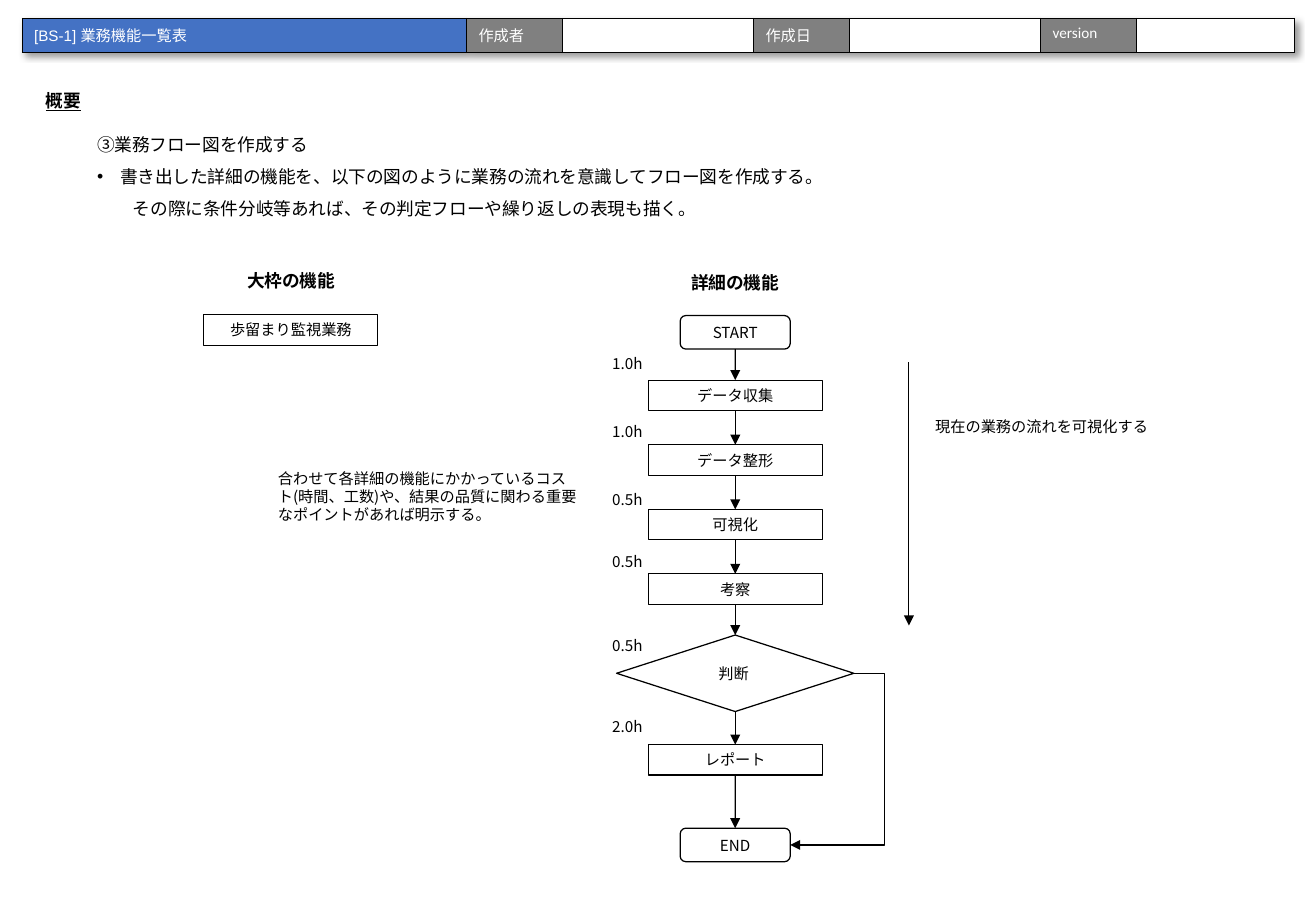
from dataclasses import dataclass
from itertools import pairwise
from typing import NamedTuple

from lxml.etree import SubElement
from pptx import Presentation
from pptx.dml.color import RGBColor
from pptx.enum.shapes import MSO_CONNECTOR, MSO_SHAPE
from pptx.enum.text import MSO_ANCHOR, MSO_AUTO_SIZE, PP_ALIGN
from pptx.oxml import parse_xml
from pptx.oxml.ns import nsdecls, qn
from pptx.shapes.autoshape import Shape
from pptx.shapes.connector import Connector
from pptx.slide import Slide
from pptx.text.text import TextFrame
from pptx.util import Cm, Pt


@dataclass(frozen=True)
class Theme:
    ink: str = "000000"
    paper: str = "FFFFFF"
    blue: str = "4472C4"
    gray: str = "808080"
    face: str = "Noto Sans CJK JP"
    small: float = 9
    large: float = 10.5
    thick: float = 0.75
    thin: float = 0.5


class Head(NamedTuple):
    text: str
    width: float
    fill: str
    face: str = "Calibri"


class Label(NamedTuple):
    text: str
    left: float
    top: float
    width: float
    height: float = 0.64
    size: float = 9
    bold: bool = False
    center: bool = False
    under: bool = False
    wrap: bool = True


class Node(NamedTuple):
    text: str
    left: float
    top: float
    width: float
    height: float
    form: MSO_SHAPE


class Point(NamedTuple):
    text: str
    margin: float = 0
    indent: float = 0
    bullet: str = ""


THEME = Theme()
MID = 15.37
STEP = 1.35
FIRST = 7.95

HEADS = [
    Head("[BS-1] 業務機能一覧表", 9.29, THEME.blue, "Arial"),
    Head("作成者", 2, THEME.gray),
    Head("", 4, THEME.paper),
    Head("作成日", 2, THEME.gray),
    Head("", 4, THEME.paper),
    Head("version", 2, THEME.gray),
    Head("", 3.3, THEME.paper),
]
POINTS = [
    Point("③業務フロー図を作成する"),
    Point("書き出した詳細の機能を、以下の図のように業務の流れを意識してフロー図を作成する。", 0.48, -0.48, "•"),
    Point("その際に条件分岐等あれば、その判定フローや繰り返しの表現も描く。", 0.75),
]
LABELS = [
    Label("概要", 0.71, 1.75, 1.27, 0.71, THEME.large, bold=True, under=True, wrap=False),
    Label("大枠の機能", 4.67, 5.51, 2.84, 0.71, THEME.large, bold=True, center=True),
    Label("詳細の機能", 13.95, 5.56, 2.84, 0.71, THEME.large, bold=True, center=True),
    Label("現在の業務の流れを可視化する", 19.3, 8.61, 6.76),
    Label("合わせて各詳細の機能にかかっているコスト(時間、工数)や、結果の品質に関わる重要なポイントがあれば明示する。", 5.56, 9.68, 6.78, 1.42),
]
HOURS = [("1.0h", 7.29), ("1.0h", 8.71), ("0.5h", 10.13),
         ("0.5h", 11.43), ("0.5h", 13.18), ("2.0h", 14.88)]


def task(text: str, top: float, mid: float = MID) -> Node:
    return Node(text, mid - 1.82, top, 3.64, 0.64, MSO_SHAPE.RECTANGLE)


def stop(text: str, top: float) -> Node:
    return Node(text, MID - 1.15, top, 2.3, 0.7, MSO_SHAPE.ROUNDED_RECTANGLE)


FLOW = [
    stop("START", 6.6),
    *(task(text, FIRST + STEP * i)
      for i, text in enumerate(["データ収集", "データ整形", "可視化", "考察"])),
    Node("判断 ", MID - 2.48, 13.28, 4.96, 1.6, MSO_SHAPE.FLOWCHART_DECISION),
    task("レポート", 15.57),
    stop("END", 17.32),
]


def write(frame: TextFrame, points: list[Point], size: float, color: str = THEME.ink,
          face: str = THEME.face, bold: bool = False, under: bool = False,
          center: bool = False, space: float | None = None) -> None:
    for i, point in enumerate(points):
        para = frame.add_paragraph() if i else frame.paragraphs[0]
        if point.text:
            para.add_run().text = point.text
        else:
            SubElement(para._p, qn("a:endParaRPr"), sz=str(int(size * 100)))
        props = para._p.get_or_add_pPr()
        if point.margin:
            props.set("marL", str(int(Cm(point.margin))))
            props.set("indent", str(int(Cm(point.indent))))
        if point.bullet:
            SubElement(props, qn("a:buFont"), typeface="Arial")
            SubElement(props, qn("a:buChar"), char=point.bullet)
        if center:
            para.alignment = PP_ALIGN.CENTER
        if space:
            para.line_spacing = space
        font = para.font
        font.size = Pt(size)
        font.bold = bold
        font.underline = under
        font.color.rgb = RGBColor.from_string(color)
        font.name = face
        SubElement(props.find(qn("a:defRPr")), qn("a:ea"), typeface=THEME.face)


def add_heads(slide: Slide) -> None:
    total = sum(head.width for head in HEADS)
    table = slide.shapes.add_table(1, len(HEADS), Cm(0.46), Cm(0.38), Cm(total), Cm(0.71)).table
    table.first_row = table.horz_banding = False
    table._tbl.tblPr.insert(0, parse_xml(
        f'<a:effectLst {nsdecls("a")}><a:outerShdw blurRad="50800" dist="38100" dir="2700000" '
        f'algn="tl" rotWithShape="0"><a:srgbClr val="{THEME.ink}"><a:alpha val="40000"/>'
        '</a:srgbClr></a:outerShdw></a:effectLst>'))
    for i, head in enumerate(HEADS):
        table.columns[i].width = Cm(head.width)
        cell = table.cell(0, i)
        props = cell._tc.get_or_add_tcPr()
        for side in "LRTB":
            props.append(parse_xml(
                f'<a:ln{side} {nsdecls("a")} w="3175"><a:solidFill>'
                f'<a:srgbClr val="{THEME.ink}"/></a:solidFill></a:ln{side}>'))
        cell.fill.solid()
        cell.fill.fore_color.rgb = RGBColor.from_string(head.fill)
        write(cell.text_frame, [Point(head.text)], THEME.small, THEME.paper, head.face)


def add_frame(slide: Slide, left: float, top: float, width: float, height: float,
              wrap: bool = True) -> TextFrame:
    frame = slide.shapes.add_textbox(Cm(left), Cm(top), Cm(width), Cm(height)).text_frame
    frame.word_wrap = wrap
    frame.auto_size = MSO_AUTO_SIZE.SHAPE_TO_FIT_TEXT
    return frame


def add_label(slide: Slide, label: Label) -> None:
    frame = add_frame(slide, label.left, label.top, label.width, label.height, label.wrap)
    write(frame, [Point(label.text)], label.size, bold=label.bold,
          under=label.under, center=label.center)


def add_node(slide: Slide, node: Node) -> Shape:
    shape = slide.shapes.add_shape(node.form, Cm(node.left), Cm(node.top),
                                   Cm(node.width), Cm(node.height))
    shape.shadow.inherit = False
    if node.form == MSO_SHAPE.RECTANGLE:
        shape.fill.background()
    else:
        shape.fill.solid()
        shape.fill.fore_color.rgb = RGBColor.from_string(THEME.paper)
    shape.line.color.rgb = RGBColor.from_string(THEME.ink)
    shape.line.width = Pt(THEME.thick)
    shape.text_frame.vertical_anchor = MSO_ANCHOR.MIDDLE
    write(shape.text_frame, [Point(node.text)], THEME.small, center=True)
    return shape


def add_arrow(slide: Slide, kind: MSO_CONNECTOR, start: tuple[float, float],
              end: tuple[float, float], width: float = THEME.thick) -> Connector:
    arrow = slide.shapes.add_connector(kind, *map(Cm, start), *map(Cm, end))
    arrow.line.color.rgb = RGBColor.from_string(THEME.ink)
    arrow.line.width = Pt(width)
    SubElement(arrow.line._get_or_add_ln(), qn("a:tailEnd"), type="triangle")
    SubElement(arrow._element.spPr, qn("a:effectLst"))
    return arrow


def add_flow(slide: Slide) -> None:
    shapes = [add_node(slide, node) for node in FLOW]
    for (upper, above), (lower, below) in pairwise(zip(FLOW, shapes)):
        arrow = add_arrow(slide, MSO_CONNECTOR.STRAIGHT,
                          (MID, upper.top + upper.height), (MID, lower.top))
        arrow.begin_connect(above, 2)
        arrow.end_connect(below, 0)
    test, last = FLOW[-3], FLOW[-1]
    bend = add_arrow(slide, MSO_CONNECTOR.ELBOW,
                     (test.left + test.width, test.top + test.height / 2),
                     (last.left + last.width, last.top + last.height / 2))
    bend.begin_connect(shapes[-3], 3)
    bend.end_connect(shapes[-1], 3)
    guides = bend._element.spPr.find(qn("a:prstGeom")).find(qn("a:avLst"))
    SubElement(guides, qn("a:gd"), name="adj1", fmla="val -47800")


def main() -> None:
    deck = Presentation()
    deck.slide_width, deck.slide_height = Cm(27.51), Cm(19.05)
    slide = deck.slides.add_slide(deck.slide_layouts[6])
    add_heads(slide)
    write(add_frame(slide, 1.78, 2.46, 24, 2.18), POINTS, THEME.large, space=1.5)
    for label in LABELS:
        add_label(slide, label)
    add_node(slide, task("歩留まり監視業務", 6.58, 6.08))
    add_flow(slide)
    for text, top in HOURS:
        add_label(slide, Label(text, 12.29, top, 1.65, center=True))
    add_arrow(slide, MSO_CONNECTOR.STRAIGHT, (19, 7.57), (19, 13.08), THEME.thin)
    deck.save("out.pptx")


if __name__ == "__main__":
    main()
